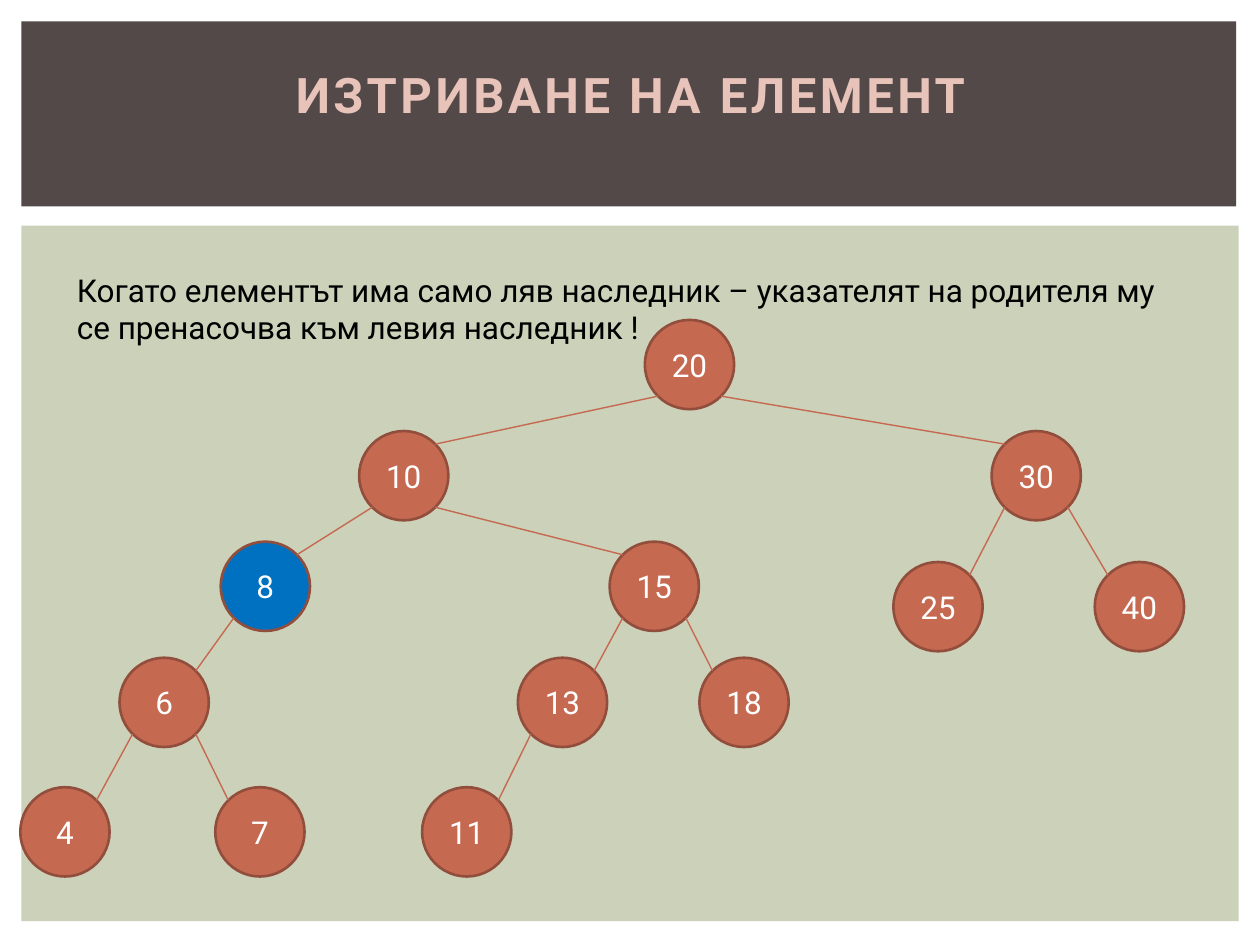
from math import sqrt

from lxml.etree import SubElement
from pptx import Presentation
from pptx.dml.color import RGBColor
from pptx.enum.shapes import MSO_CONNECTOR, MSO_SHAPE
from pptx.enum.text import MSO_ANCHOR, MSO_AUTO_SIZE, PP_ALIGN
from pptx.oxml.ns import qn
from pptx.util import Cm, Pt

FONT = "Roboto"
BROWN = RGBColor(0x53, 0x49, 0x49)
SAGE = RGBColor(0xCC, 0xD1, 0xB9)
PINK = RGBColor(0xE8, 0xC3, 0xB9)
RUST = RGBColor(0xC6, 0x69, 0x51)
DARK_RUST = RGBColor(0x92, 0x4E, 0x3C)
BLUE = RGBColor(0x00, 0x70, 0xC0)
BLACK = RGBColor(0x00, 0x00, 0x00)
WHITE = RGBColor(0xFF, 0xFF, 0xFF)

DIAMETER = 1.8
RADIUS = DIAMETER / 2
DIAGONAL = RADIUS / sqrt(2)


def add_filled(kind, left, top, width, height, color):
    sp = s.shapes.add_shape(kind, Cm(left), Cm(top), Cm(width), Cm(height))
    sp.shadow.inherit = False
    sp.fill.solid()
    sp.fill.fore_color.rgb = color
    sp.line.fill.background()
    return sp


def add_text(p, text, size, color):
    r = p.add_run()
    r.text = text
    r.font.name = FONT
    r.font.size = Pt(size)
    r.font.color.rgb = color
    return r


prs = Presentation()
prs.slide_width = Cm(25.4)
prs.slide_height = Cm(19.05)
s = prs.slides.add_slide(prs.slide_layouts[5])

add_filled(MSO_SHAPE.RECTANGLE, 0.43, 4.55, 24.54, 14.02, SAGE)
add_filled(MSO_SHAPE.RECTANGLE, 0.43, 0.43, 24.49, 3.73, BROWN)

title = s.shapes.title
s.shapes.element.append(title.element)
title.left, title.top, title.width, title.height = Cm(1.07), Cm(0.99), Cm(23.29), Cm(2.92)
tf = title.text_frame
tf.auto_size = MSO_AUTO_SIZE.NONE
tf.vertical_anchor = MSO_ANCHOR.MIDDLE
tf.margin_bottom = Cm(1.25)
p = tf.paragraphs[0]
p.alignment = PP_ALIGN.CENTER
r = add_text(p, "ИЗТРИВАНЕ НА ЕЛЕМЕНТ", 28, PINK)
r.font.bold = True
r.font._element.set("spc", "200")

sp = s.shapes.add_textbox(Cm(1.3), Cm(5.33), Cm(22.6), Cm(1.8))
tf = sp.text_frame
tf.word_wrap = True
tf.auto_size = MSO_AUTO_SIZE.SHAPE_TO_FIT_TEXT
add_text(
    tf.paragraphs[0],
    "Когато елементът има само ляв наследник – указателят на родителя му "
    "се пренасочва към левия наследник !",
    18,
    BLACK,
)

DELETED = 8
nodes = {
    20: (13.0, 6.45),
    10: (7.24, 8.69),
    30: (19.99, 8.69),
    8: (4.45, 10.92),
    15: (12.29, 10.92),
    25: (18.01, 11.33),
    40: (22.07, 11.33),
    6: (2.41, 13.26),
    13: (10.44, 13.26),
    18: (14.1, 13.26),
    4: (0.41, 15.87),
    7: (4.34, 15.87),
    11: (8.51, 15.87),
}
children = {
    20: (10, 30),
    10: (8, 15),
    30: (25, 40),
    8: (6,),
    15: (13, 18),
    6: (4, 7),
    13: (11,),
}

for key, (left, top) in nodes.items():
    color = BLUE if key == DELETED else RUST
    sp = add_filled(MSO_SHAPE.OVAL, left, top, DIAMETER, DIAMETER, color)
    sp.line.color.rgb = DARK_RUST
    sp.line.width = Pt(1.5)
    tf = sp.text_frame
    tf.word_wrap = False
    tf.vertical_anchor = MSO_ANCHOR.MIDDLE
    p = tf.paragraphs[0]
    p.alignment = PP_ALIGN.CENTER
    add_text(p, str(key), 18, WHITE)

for parent, keys in children.items():
    for child in keys:
        side = -1 if child < parent else 1
        x1, y1 = (v + RADIUS for v in nodes[parent])
        x2, y2 = (v + RADIUS for v in nodes[child])
        line = s.shapes.add_connector(
            MSO_CONNECTOR.STRAIGHT,
            Cm(x1 + side * DIAGONAL),
            Cm(y1 + DIAGONAL),
            Cm(x2 - side * DIAGONAL),
            Cm(y2 - DIAGONAL),
        )
        line.line.color.rgb = RUST
        line.line.width = Pt(0.79)
        SubElement(line.element.spPr, qn("a:effectLst"))

prs.save("out.pptx")
